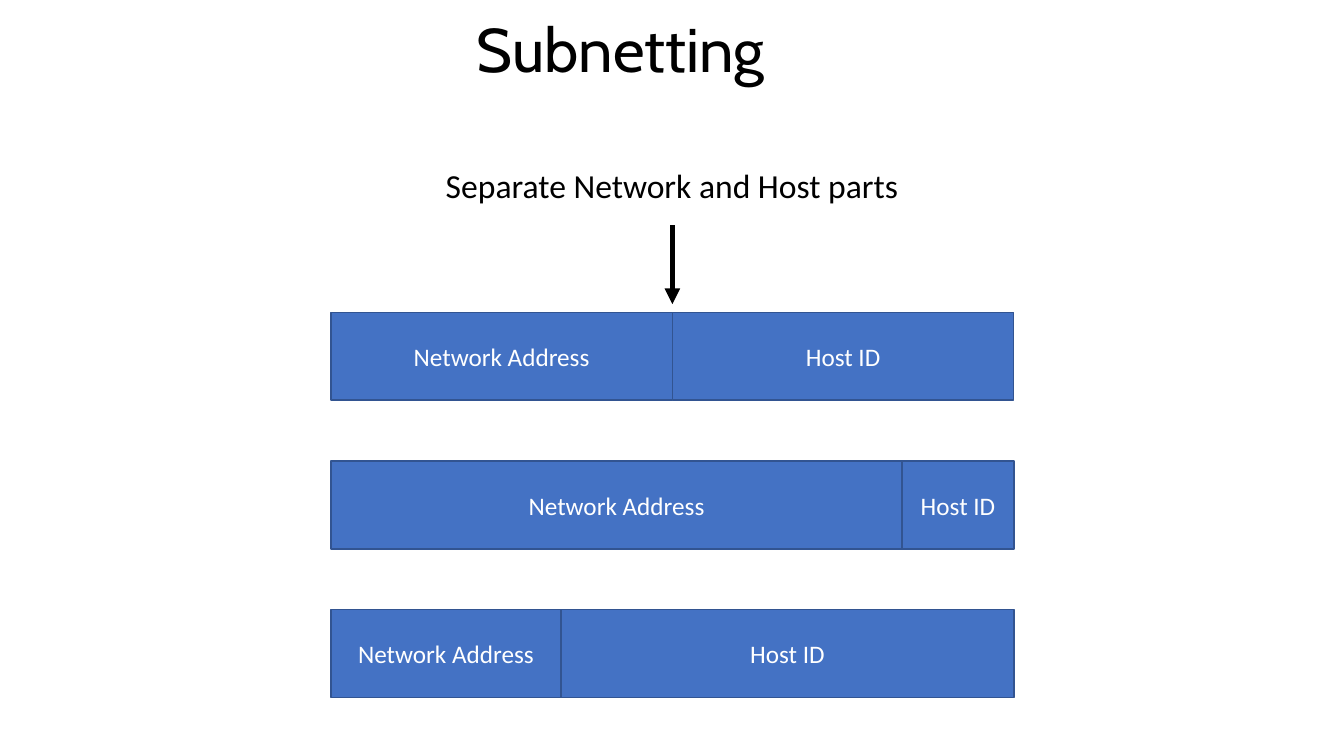
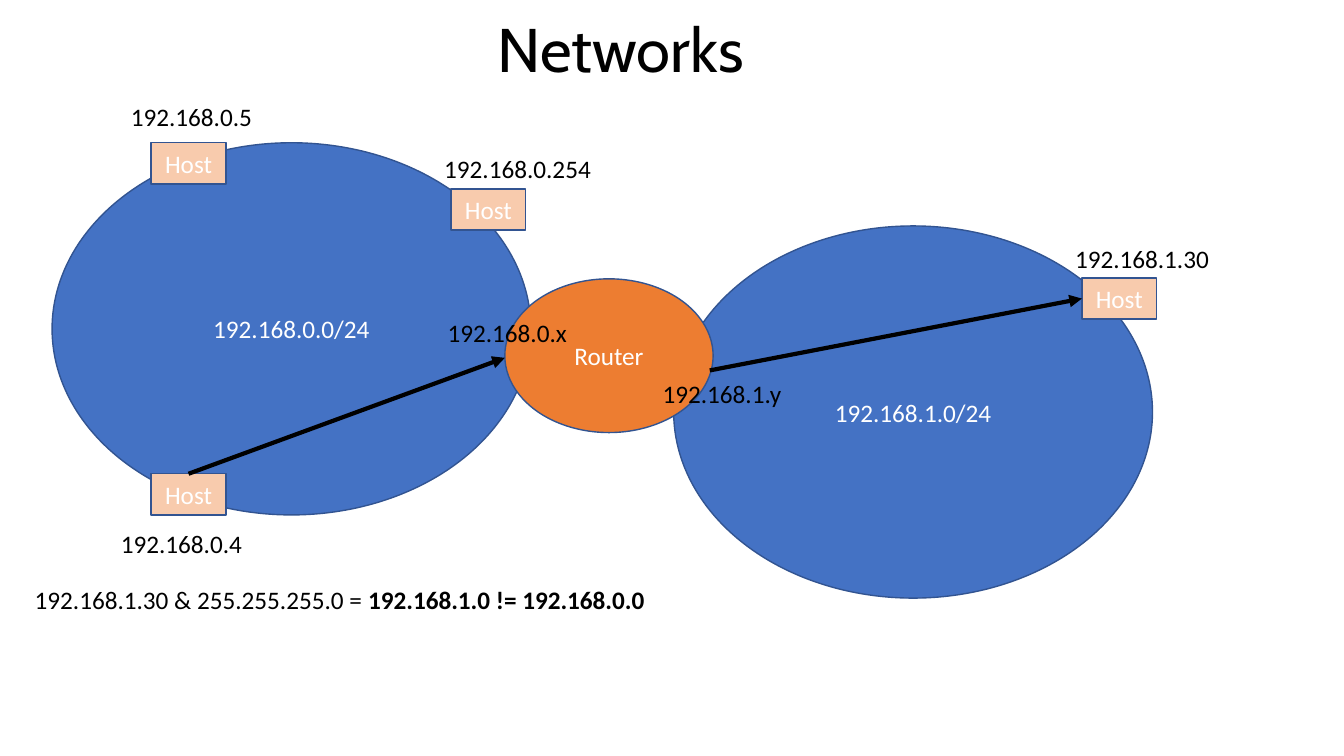
from dataclasses import dataclass

from lxml.etree import SubElement
from pptx import Presentation
from pptx.dml.color import RGBColor
from pptx.enum.shapes import MSO_CONNECTOR, MSO_SHAPE
from pptx.enum.text import MSO_ANCHOR, PP_ALIGN
from pptx.oxml.ns import qn
from pptx.util import Pt

COLS, ROWS = 160, 90
CELL = 76200  # one grid cell is a twelfth of an inch


@dataclass(frozen=True)
class Theme:
    ink: str = "000000"
    white: str = "FFFFFF"
    blue: str = "4472C4"
    outline: str = "325491"
    peach: str = "F8CBAD"
    orange: str = "ED7D31"
    title_font: str = "Cabin"
    body_font: str = "Calibri"
    title_size: int = 44
    caption_size: int = 24
    body_size: int = 18


THEME = Theme()


@dataclass(frozen=True)
class Box:
    """A region in grid columns and rows."""
    x: float
    y: float
    w: float
    h: float

    def inner(self, dx, dy, w, h):
        return Box(self.x + dx, self.y + dy, w, h)

    def point(self, dx, dy):
        return self.x + dx, self.y + dy

    def emu(self):
        return [round(v * CELL) for v in (self.x, self.y, self.w, self.h)]


TITLE = Box(15.5, 0, 116.8, 12.6)
CAPTION = Box(51.6, 19.1, 56.8, 6)
BARS = Box(39.4, 37.2, 81.3, 45.85)
BAR_HEIGHT, BAR_PITCH = 10.45, 17.7
NETWORK_COLUMNS = (40.65, 68, 27.4)

LEFT_NETWORK = Box(6.2, 17, 57, 44.3)
RIGHT_NETWORK = Box(80.2, 26.9, 57, 44.3)
ROUTER = Box(60.1, 33.2, 24.8, 18.3)
FORMULA = Box(2.95, 69, 78.4, 4.8)
HOST_SIZE = (8.9, 4.9)
LABEL_SIZE = (21.5, 4.8)

# address, host offset in its network, label offset from the host
LEFT_HOSTS = (
    ("192.168.0.4", (11.8, 39.4), (-4.8, 5.9)),
    ("192.168.0.5", (11.8, 0), (-3.6, -5.5)),
    ("192.168.0.254", (47.5, 5.5), (-2, -4.8)),
)
RIGHT_HOSTS = (("192.168.1.30", (48.6, 6.2), (-2, -4.7)),)
ROUTER_LABELS = (("192.168.0.x", (-8, 4)), ("192.168.1.y", (17.6, 11.2)))


def write(shape, runs, frame=None, paragraph=None, **font):
    """Fill a shape with one paragraph of (text, bold) runs."""
    tf = shape.text_frame
    p = tf.paragraphs[0]
    formats = {"name": THEME.body_font, "size": THEME.body_size,
               "color": THEME.ink} | font
    for target, values in ((tf, {"word_wrap": True} | (frame or {})),
                           (p, paragraph or {})):
        for name, value in values.items():
            setattr(target, name, value)
    for text, bold in runs:
        r = p.add_run()
        r.text = text
        for name, value in {"name": formats["name"], "bold": bold,
                            "size": Pt(formats["size"])}.items():
            setattr(r.font, name, value)
        r.font.color.rgb = RGBColor.from_string(formats["color"])


def add_text(s, box, *runs, **formats):
    write(s.shapes.add_textbox(*box.emu()), runs, **formats)


def add_node(s, preset, box, text, fill):
    sp = s.shapes.add_shape(preset, *box.emu())
    sp.shadow.inherit = False
    sp.fill.solid()
    sp.fill.fore_color.rgb = RGBColor.from_string(fill)
    sp.line.color.rgb = RGBColor.from_string(THEME.outline)
    sp.line.width = Pt(1)
    write(sp, [(text, False)], {"vertical_anchor": MSO_ANCHOR.MIDDLE},
          {"alignment": PP_ALIGN.CENTER}, color=THEME.white)
    return sp


def add_arrow(s, start, end, width):
    cxn = s.shapes.add_connector(
        MSO_CONNECTOR.STRAIGHT, *(round(v * CELL) for v in (*start, *end)))
    cxn.line.color.rgb = RGBColor.from_string(THEME.ink)
    cxn.line.width = Pt(width)
    SubElement(cxn.line._get_or_add_ln(), qn("a:tailEnd"), type="triangle")
    SubElement(cxn._element.spPr, qn("a:effectLst"))
    return cxn


def add_titled_slide(prs, title):
    s = prs.slides.add_slide(prs.slide_layouts[6])
    add_text(s, TITLE, (title, False),
             frame={"vertical_anchor": MSO_ANCHOR.MIDDLE},
             paragraph={"alignment": PP_ALIGN.CENTER, "line_spacing": 0.9},
             name=THEME.title_font, size=THEME.title_size)
    return s


def address_bar(s, box, network_width):
    """One address split into its network and host parts."""
    parts = (("Network Address", 0, network_width),
             ("Host ID", network_width, box.w - network_width))
    for text, dx, width in parts:
        add_node(s, MSO_SHAPE.RECTANGLE, box.inner(dx, 0, width, box.h),
                 text, THEME.blue)


def network(s, box, address, hosts):
    """Draw a network with its hosts; return the host shapes by address."""
    add_node(s, MSO_SHAPE.OVAL, box, address, THEME.blue)
    shapes = {}
    for host_address, offset, label_offset in hosts:
        host = box.inner(*offset, *HOST_SIZE)
        shapes[host_address] = add_node(s, MSO_SHAPE.RECTANGLE, host, "Host",
                                        THEME.peach)
        add_text(s, host.inner(*label_offset, *LABEL_SIZE),
                 (host_address, False))
    return shapes


def router(s, box):
    add_node(s, MSO_SHAPE.OVAL, box, "Router", THEME.orange)
    for address, offset in ROUTER_LABELS:
        add_text(s, box.inner(*offset, *LABEL_SIZE), (address, False))


def subnetting_slide(prs):
    s = add_titled_slide(prs, "Subnetting")
    add_text(s, CAPTION, ("Separate Network and Host parts", False),
             frame={"word_wrap": False},
             paragraph={"alignment": PP_ALIGN.CENTER}, size=THEME.caption_size)
    for i, width in enumerate(NETWORK_COLUMNS):
        address_bar(s, BARS.inner(0, i * BAR_PITCH, BARS.w, BAR_HEIGHT), width)
    middle = BARS.w / 2
    add_arrow(s, BARS.point(middle, -10.4), BARS.point(middle, -1), 3.75)


def networks_slide(prs):
    s = add_titled_slide(prs, "Networks")
    left = network(s, LEFT_NETWORK, "192.168.0.0/24", LEFT_HOSTS)
    right = network(s, RIGHT_NETWORK, "192.168.1.0/24", RIGHT_HOSTS)
    router(s, ROUTER)
    add_text(s, FORMULA, ("192.168.1.30 & 255.255.255.0 = ", False),
             ("192.168.1.0 != 192.168.0.0", True))
    entry, leave = ROUTER.point(0, 9.4), ROUTER.point(24.4, 10.9)
    add_arrow(s, entry, entry, 3).begin_connect(left["192.168.0.4"], 0)
    add_arrow(s, leave, leave, 3).end_connect(right["192.168.1.30"], 1)


def main():
    prs = Presentation()
    prs.slide_width, prs.slide_height = COLS * CELL, ROWS * CELL
    subnetting_slide(prs)
    networks_slide(prs)
    prs.save("out.pptx")


if __name__ == "__main__":
    main()
